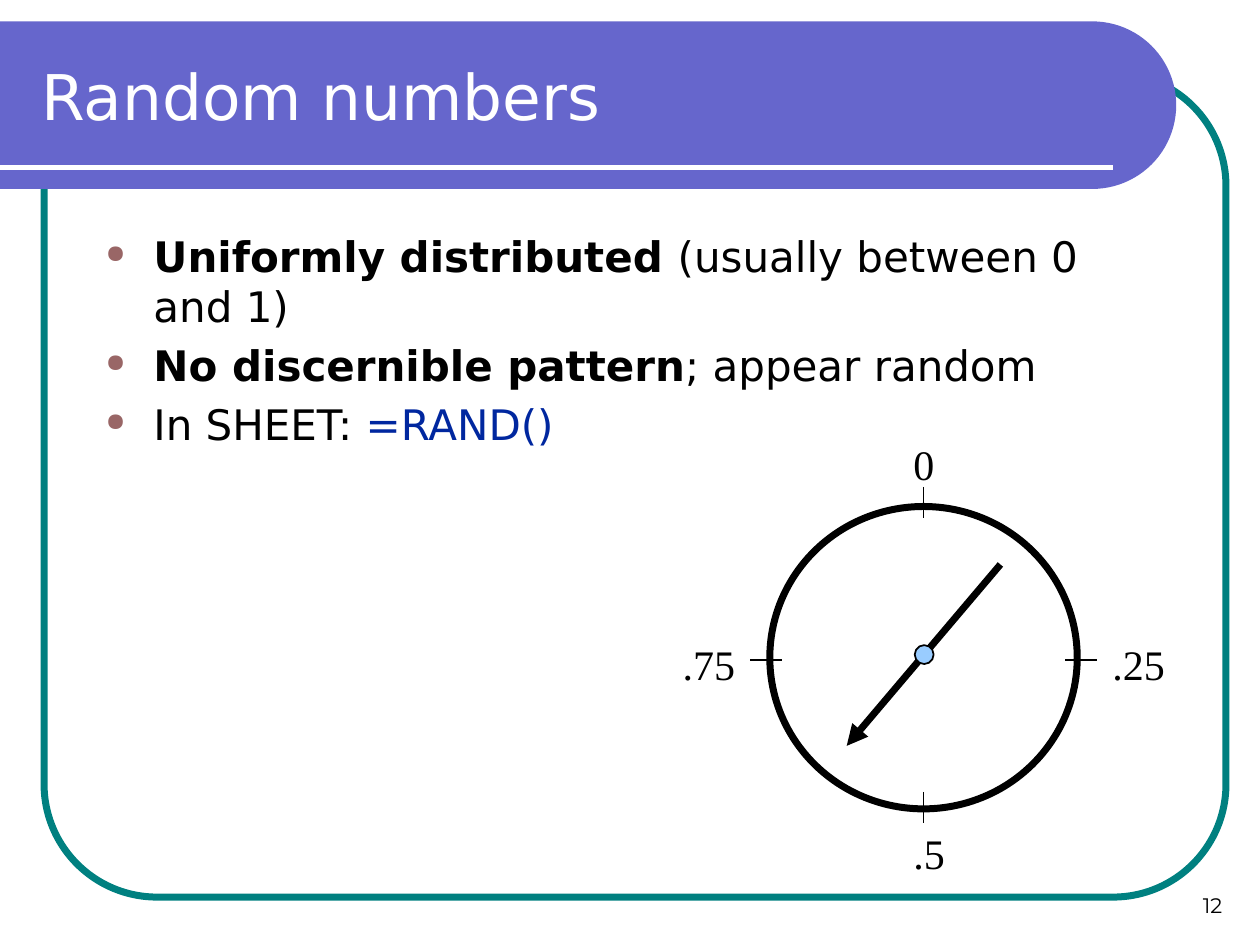
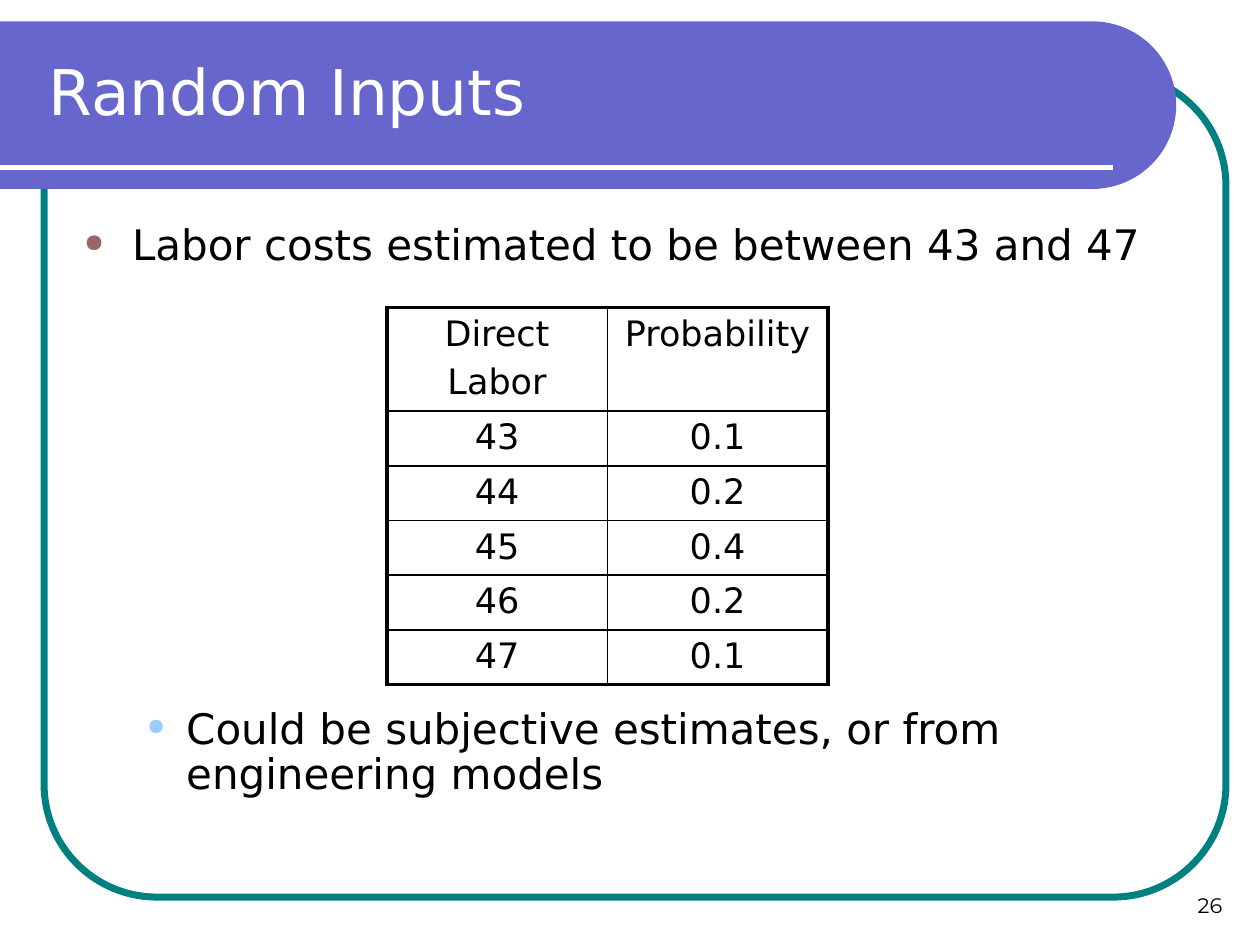
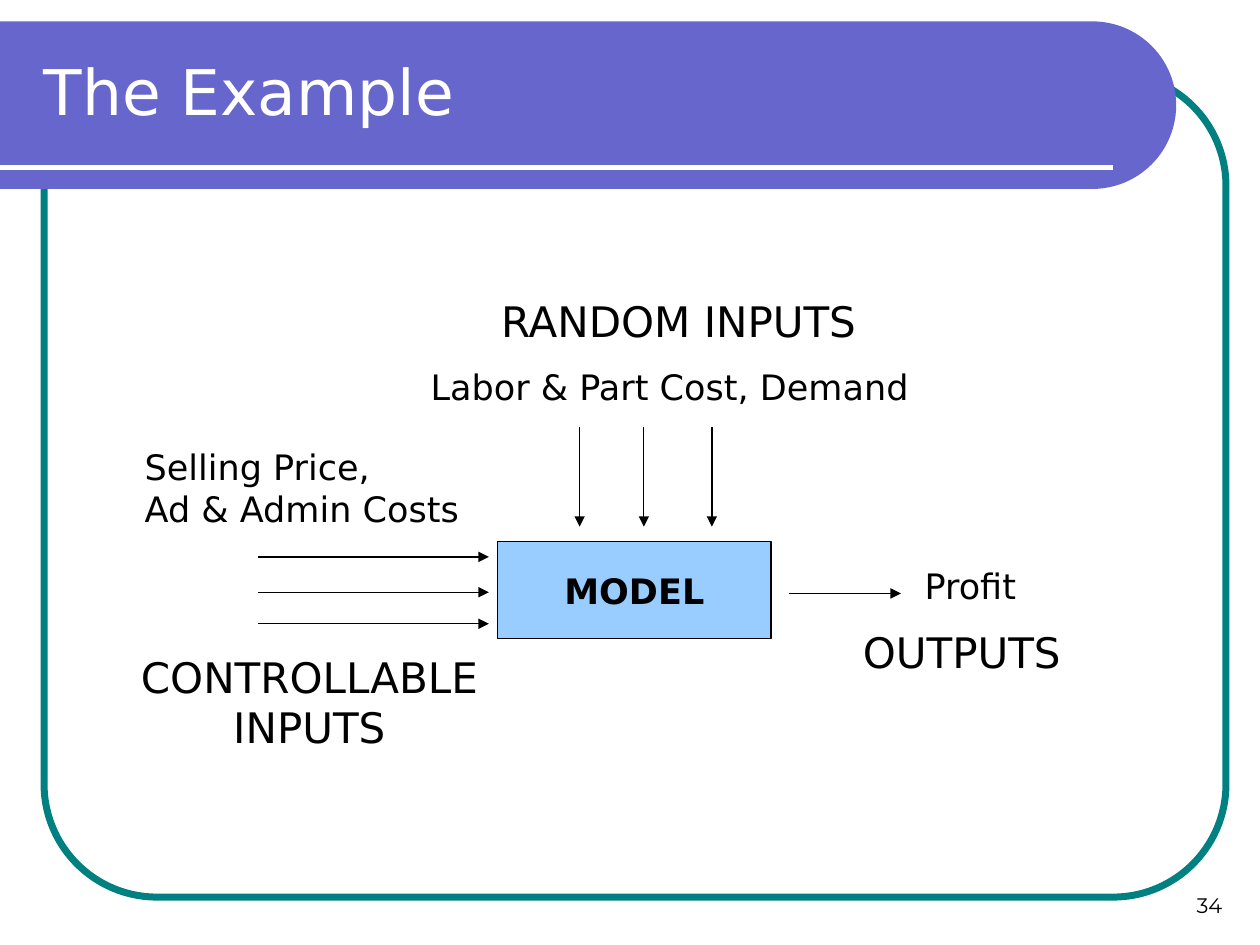
from dataclasses import dataclass
from math import cos, pi, sin
from typing import NamedTuple

from lxml.etree import SubElement
from pptx import Presentation
from pptx.dml.color import RGBColor
from pptx.enum.shapes import MSO_CONNECTOR, MSO_SHAPE
from pptx.enum.text import MSO_ANCHOR, MSO_AUTO_SIZE, PP_ALIGN
from pptx.oxml.ns import qn
from pptx.util import Emu, Inches, Pt

W, H = Inches(10), Inches(7.5)
COLS, ROWS = 100, 75

COLORS = {
    "band": "6666CC", "frame": "008080", "white": "FFFFFF", "ink": "000000",
    "rose": "996666", "sky": "99CCFF", "formula": "00279F",
}

SANS, SERIF, NUMBER_FONT = "DejaVu Sans", "Times New Roman", "Montserrat"
FORMATS = {
    "title": {"name": SANS, "size": Pt(36), "bold": False},
    "body": {"name": SANS, "size": Pt(24), "bold": False},
    "strong": {"name": SANS, "size": Pt(24), "bold": True},
    "detail": {"name": SANS, "size": Pt(20), "bold": False},
    "model": {"name": SANS, "size": Pt(20), "bold": True},
    "dial": {"name": SERIF, "size": Pt(24), "bold": False},
    "number": {"name": NUMBER_FONT, "size": Pt(12), "bold": False},
}


class Box(NamedTuple):
    """A place on the grid: left column, top row, columns, rows."""
    x: float
    y: float
    w: float
    h: float


class Run(NamedTuple):
    text: str
    style: str = "body"
    color: str = "ink"


class Bullet(NamedTuple):
    color: str
    size: int
    indent: float
    hang: float


@dataclass
class Para:
    runs: list[Run]
    align: PP_ALIGN = PP_ALIGN.LEFT
    bullet: Bullet | None = None
    before: float = 0
    spacing: float = 1.0


class Label(NamedTuple):
    box: Box
    text: str
    style: str


class Line(NamedTuple):
    x1: float
    y1: float
    x2: float
    y2: float


MAIN_BULLET = Bullet("rose", 60, 3.8, 3.8)
SUB_BULLET = Bullet("sky", 54, 8.1, 3.1)


# Grid and colour helpers
def col(n: float) -> Emu:
    return Emu(round(n * W / COLS))


def row(n: float) -> Emu:
    return Emu(round(n * H / ROWS))


def place(box: Box) -> tuple[Emu, Emu, Emu, Emu]:
    return col(box.x), row(box.y), col(box.w), row(box.h)


def rgb(key: str) -> RGBColor:
    return RGBColor.from_string(COLORS[key])


# Text
def add_bullet(p, bullet: Bullet) -> None:
    pPr = p._p.get_or_add_pPr()
    pPr.set("marL", str(col(bullet.indent)))
    pPr.set("indent", str(-col(bullet.hang)))
    clr = SubElement(pPr, qn("a:buClr"))
    SubElement(clr, qn("a:srgbClr"), val=COLORS[bullet.color])
    SubElement(pPr, qn("a:buSzPct"), val=str(bullet.size * 1000))
    SubElement(pPr, qn("a:buChar"), char="●")


def write(tf, paras: list[Para]) -> None:
    for i, para in enumerate(paras):
        p = tf.paragraphs[0] if i == 0 else tf.add_paragraph()
        values = {"alignment": para.align, "space_before": Pt(para.before),
                  "line_spacing": para.spacing}
        for name, value in values.items():
            setattr(p, name, value)
        if para.bullet:
            add_bullet(p, para.bullet)
        for run in para.runs:
            r = p.add_run()
            r.text = run.text
            for name, value in FORMATS[run.style].items():
                setattr(r.font, name, value)
            r.font.color.rgb = rgb(run.color)


def add_text(s, box: Box, paras: list[Para],
             anchor: MSO_ANCHOR = MSO_ANCHOR.TOP, wrap: bool = True) -> None:
    tf = s.shapes.add_textbox(*place(box)).text_frame
    tf.word_wrap = wrap
    if not wrap:
        tf.auto_size = MSO_AUTO_SIZE.SHAPE_TO_FIT_TEXT
    tf.vertical_anchor = anchor
    write(tf, paras)


def add_labels(s, labels: list[Label]) -> None:
    for label in labels:
        paras = [Para([Run(t, label.style)]) for t in label.text.split("\n")]
        add_text(s, label.box, paras, wrap=False)


# Shapes and lines
def paint(sp, fill: str | None, line: str | None, width: float = 1) -> None:
    sp.shadow.inherit = False
    for part, key in ((sp.fill, fill), (sp.line.fill, line)):
        if key is None:
            part.background()
        else:
            part.solid()
            part.fore_color.rgb = rgb(key)
    if line:
        sp.line.width = Pt(width)


def add_shape(s, kind: MSO_SHAPE, box: Box, fill: str | None, line: str,
              width: float):
    sp = s.shapes.add_shape(kind, *place(box))
    paint(sp, fill, line, width)
    return sp


def add_line(s, line: Line, color: str = "ink", width: float = 0.75,
             arrow: bool = False) -> None:
    cx = s.shapes.add_connector(MSO_CONNECTOR.STRAIGHT, col(line.x1),
                                row(line.y1), col(line.x2), row(line.y2))
    cx.line.color.rgb = rgb(color)
    cx.line.width = Pt(width)
    spPr = cx._element.spPr
    if arrow:
        SubElement(spPr.find(qn("a:ln")), qn("a:tailEnd"), type="triangle")
    SubElement(spPr, qn("a:effectLst"))


# Shared slide design
def add_band(s) -> None:
    right, top, bottom, steps = 86.7, 1.7, 15, 48
    radius = (bottom - top) / 2
    angles = [-pi / 2 + pi * i / steps for i in range(steps + 1)]
    arc = [(col(right + radius * cos(a)), row(top + radius + radius * sin(a)))
           for a in angles]
    builder = s.shapes.build_freeform(0, row(top), scale=1.0)
    builder.add_line_segments([*arc, (0, row(bottom))], close=True)
    paint(builder.convert_to_shape(), "band", None)


def new_slide(prs, title: str, box: Box, number: int,
              anchor: MSO_ANCHOR = MSO_ANCHOR.MIDDLE):
    s = prs.slides.add_slide(prs.slide_layouts[6])
    frame = add_shape(s, MSO_SHAPE.ROUNDED_RECTANGLE,
                      Box(3.5, 5.8, 93.8, 65.4), None, "frame", 4)
    frame.adjustments[0] = 0.137
    add_band(s)
    add_line(s, Line(0, 13.3, 88.3, 13.3), "white", 3)
    add_text(s, Box(74.7, 68.3, 23.3, 5),
             [Para([Run(str(number), "number")], PP_ALIGN.RIGHT)],
             MSO_ANCHOR.BOTTOM)
    add_text(s, box, [Para([Run(title, "title", "white")])], anchor)
    return s


# Random numbers: bullets and a spinner dial
def random_numbers(prs) -> None:
    s = new_slide(prs, "Random numbers", Box(2.3, 4.1, 87.7, 10), 12,
                  MSO_ANCHOR.TOP)
    points = [
        [Run("Uniformly distributed ", "strong"),
         Run("(usually between 0 and 1)")],
        [Run("No discernible pattern", "strong"), Run("; appear random")],
        [Run("In SHEET: "), Run("=RAND()", color="formula")],
    ]
    add_text(s, Box(7.4, 17.8, 85, 33.3),
             [Para(runs, bullet=MAIN_BULLET, before=4.8) for runs in points])

    add_shape(s, MSO_SHAPE.OVAL, Box(61.1, 40.2, 24.4, 24), "white", "ink", 4)
    add_line(s, Line(79.4, 44.8, 67.2, 59.2), width=4, arrow=True)
    cx, cy, half = 73.3, 52, 1.25
    for side in (-1, 1):
        y, x = cy + side * 12.1, cx + side * 12.5
        add_line(s, Line(cx, y - half, cx, y + half), width=1)
        add_line(s, Line(x - half, 52.4, x + half, 52.4), width=1)
    add_shape(s, MSO_SHAPE.OVAL, Box(72.6, 51.2, 1.5, 1.5), "sky", "ink", 1)
    add_labels(s, [
        Label(Box(71.5, 34.3, 3.6, 5), "0", "dial"),
        Label(Box(87.3, 50.2, 6.2, 5), ".25", "dial"),
        Label(Box(71.5, 65.2, 4.5, 5), ".5", "dial"),
        Label(Box(53.2, 50.2, 6.2, 5), ".75", "dial"),
    ])


# Random inputs: probability table
def add_border(cell, side: str, width: float) -> None:
    ln = SubElement(cell._tc.get_or_add_tcPr(), qn(f"a:ln{side}"),
                    w=str(Pt(width)))
    fill = SubElement(ln, qn("a:solidFill"))
    SubElement(fill, qn("a:srgbClr"), val=COLORS["ink"])


def add_table(s, box: Box, data: list[tuple[str, str]], header: float) -> None:
    last_row, last_col = len(data) - 1, len(data[0]) - 1
    tbl = s.shapes.add_table(len(data), len(data[0]), *place(box)).table
    tbl.first_row = tbl.horz_banding = False
    for i, values in enumerate(data):
        tbl.rows[i].height = row((box.h - header) / last_row if i else header)
        for j, value in enumerate(values):
            cell = tbl.cell(i, j)
            outer = {"L": j == 0, "R": j == last_col,
                     "T": i == 0, "B": i == last_row}
            for side, is_outer in outer.items():
                add_border(cell, side, 2.25 if is_outer else 1)
            cell.fill.background()
            write(cell.text_frame,
                  [Para([Run(t, "detail")], PP_ALIGN.CENTER, before=4)
                   for t in value.split("\n")])


def random_inputs(prs) -> None:
    s = new_slide(prs, "Random Inputs", Box(2.9, 0, 90.2, 14.4), 26)
    points = [
        (17.3, "Labor costs estimated to be between 43 and 47", MAIN_BULLET),
        (55.7, "Could be subjective estimates, or from engineering models",
         SUB_BULLET),
    ]
    for y, text, bullet in points:
        add_text(s, Box(5.7, y, 90, 10),
                 [Para([Run(text)], bullet=bullet, before=4.8, spacing=0.9)])
    add_table(s, Box(30.7, 24.4, 35, 20.3), [
        ("Direct\nLabor", "Probability"),
        ("43", "0.1"), ("44", "0.2"), ("45", "0.4"),
        ("46", "0.2"), ("47", "0.1"),
    ], header=5.3)


# The example: model with inputs and outputs
def the_example(prs) -> None:
    s = new_slide(prs, "The Example", Box(2.5, 0, 90.2, 14.4), 34)
    sp = add_shape(s, MSO_SHAPE.RECTANGLE, Box(39.5, 43, 21.7, 7.7),
                   "sky", "ink", 0.75)
    sp.text_frame.word_wrap = False
    sp.text_frame.vertical_anchor = MSO_ANCHOR.MIDDLE
    write(sp.text_frame, [Para([Run("MODEL", "model")], PP_ALIGN.CENTER)])

    controllable = [Line(20.5, y, 38.8, y) for y in (44.2, 47, 49.5)]
    random = [Line(x, 33.9, x, 41.8) for x in (46, 51.1, 56.5)]
    output = Line(62.6, 47.1, 71.5, 47.1)
    for line in [*controllable, *random, output]:
        add_line(s, line, arrow=True)

    add_labels(s, [
        Label(Box(10.5, 34.9, 27, 7.7), "Selling Price,\nAd & Admin Costs",
              "detail"),
        Label(Box(38.8, 23, 31, 5), "RANDOM INPUTS", "body"),
        Label(Box(33.2, 28.5, 40.2, 4.3), "Labor & Part Cost, Demand",
              "detail"),
        Label(Box(72.4, 44.3, 9.4, 4.3), "Profit", "detail"),
        Label(Box(67.5, 49.2, 17.9, 5), "OUTPUTS", "body"),
    ])
    add_text(s, Box(7.8, 51.2, 33.5, 9),
             [Para([Run("CONTROLLABLE INPUTS")], PP_ALIGN.CENTER)])


def main() -> None:
    prs = Presentation()
    prs.slide_width, prs.slide_height = W, H
    for build in (random_numbers, random_inputs, the_example):
        build(prs)
    prs.save("out.pptx")


if __name__ == "__main__":
    main()
